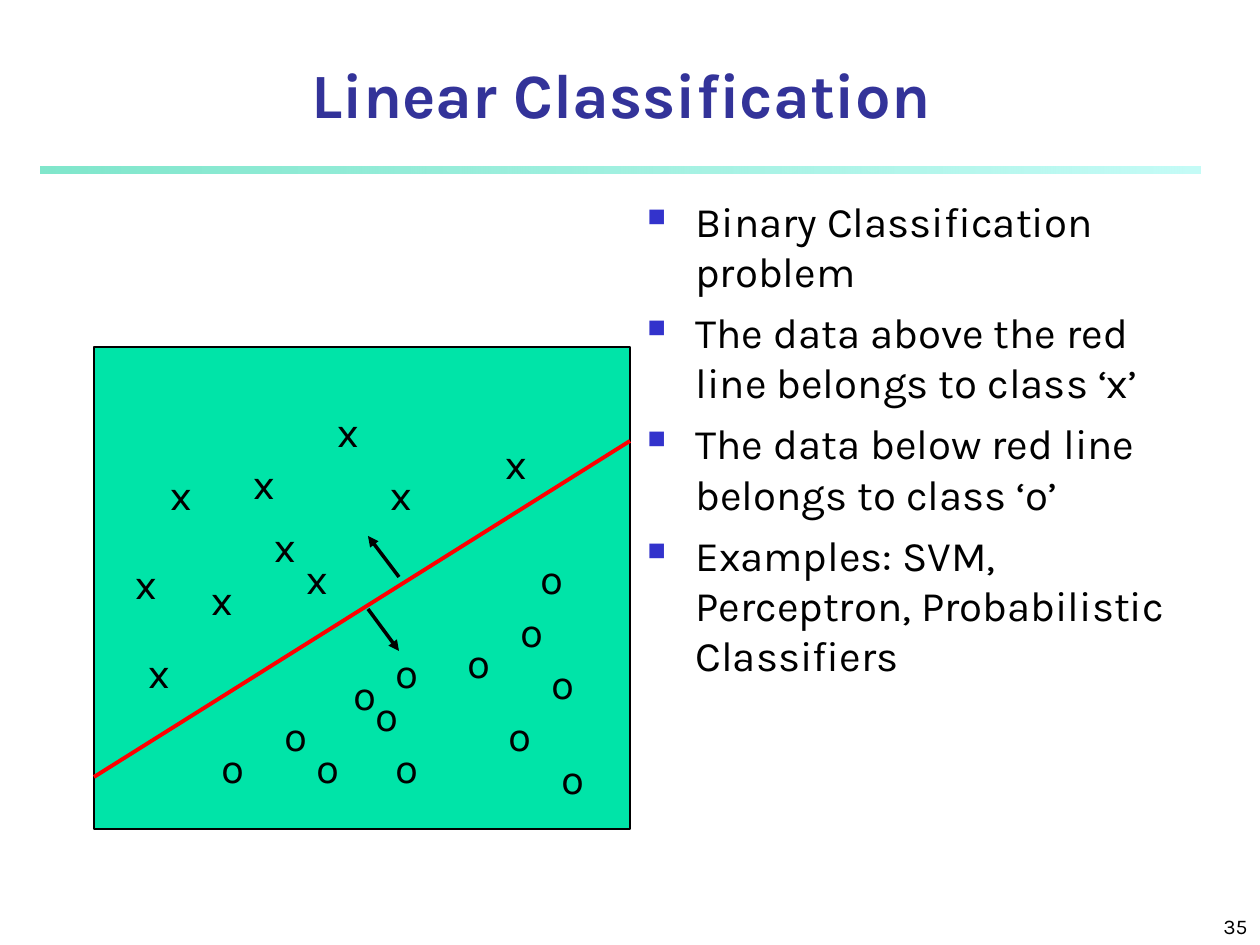
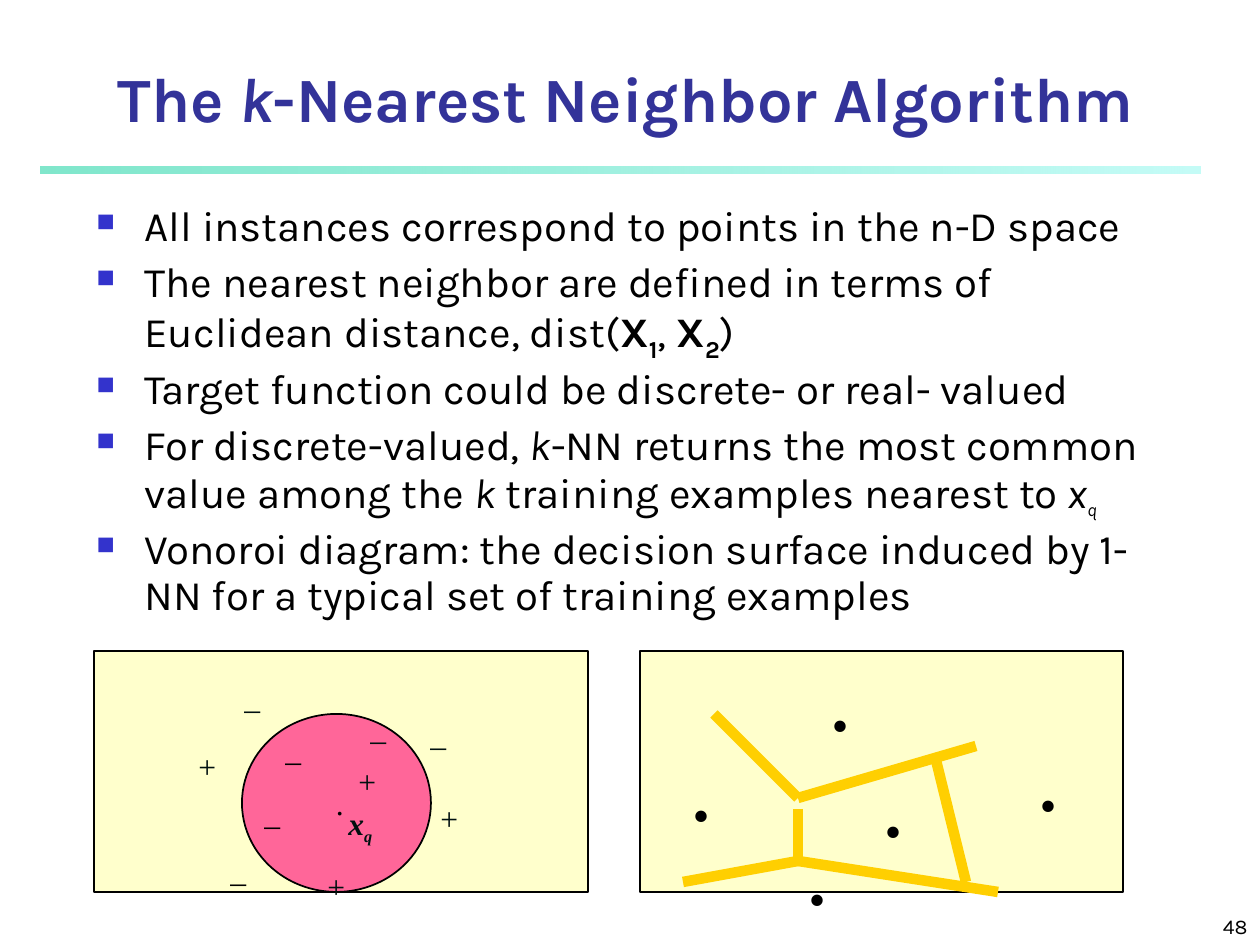
"""Build two slides on linear classification and k-nearest neighbours."""
from dataclasses import dataclass

from lxml import etree
from pptx import Presentation
from pptx import util as u
from pptx.dml.color import RGBColor
from pptx.enum import shapes, text
from pptx.oxml import ns

PX = 914400 // 126


@dataclass(frozen=True)
class Theme:
    font: str = "Karla"
    diagram_font: str = "Times New Roman"
    ink: str = "000000"
    mark_ink: str = "001010"
    title: str = "333399"
    bullet: str = "3333CC"
    band: tuple = (("00CE98", 50000), ("8FF9EF", 52000))
    plot: str = "00E4A8"
    boundary: str = "FF0000"
    panel: str = "FFFFCC"
    circle: str = "FF6699"
    voronoi: str = "FFCF01"
    title_size: int = 36
    body_size: int = 24
    mark_size: int = 18
    subscript_size: int = 16
    number_size: int = 12
    dot_size: int = 40


theme = Theme()


def write(shape, paragraphs, size, color=theme.ink, font=theme.font, bold=False, align="LEFT",
          anchor="TOP", wrap=True, bullets=False, line_spacing=None):
    """Fill a shape with paragraphs of (text, style, size) runs; styles are b, i and s for subscript."""
    frame = shape.text_frame
    frame.word_wrap = wrap
    frame.vertical_anchor = getattr(text.MSO_ANCHOR, anchor)
    for index, runs in enumerate(paragraphs):
        paragraph = frame.add_paragraph() if index else frame.paragraphs[0]
        paragraph.alignment = getattr(text.PP_ALIGN, align)
        if bullets:
            properties = paragraph._p.get_or_add_pPr()
            properties.set("marL", str(48 * PX))
            properties.set("indent", str(-48 * PX))
            bullet_color = etree.SubElement(properties, ns.qn("a:buClr"))
            etree.SubElement(bullet_color, ns.qn("a:srgbClr"), val=theme.bullet)
            etree.SubElement(properties, ns.qn("a:buSzPct"), val="60000")
            etree.SubElement(properties, ns.qn("a:buChar"), char="■")
            paragraph.space_before = u.Pt(6)
            paragraph.line_spacing = line_spacing
        paragraph.font.name = font
        paragraph.font.size = u.Pt(size)
        paragraph.font.bold = bold
        paragraph.font.color.rgb = RGBColor.from_string(color)
        for content, style, *run_size in runs:
            run = paragraph.add_run()
            run.text = content
            if "b" in style:
                run.font.bold = True
            if "i" in style:
                run.font.italic = True
            if "s" in style:
                run.font._element.set("baseline", "-25000")
            if run_size:
                run.font.size = u.Pt(run_size[0])


def draw(slide, kind, box, color=None, width=1, arrow=False):
    """Add a text box, a line from corner to corner, or an outlined preset shape."""
    box = [value * PX for value in box]
    if kind == "text":
        return slide.shapes.add_textbox(*box)
    if kind == "line":
        line = slide.shapes.add_connector(shapes.MSO_CONNECTOR.STRAIGHT, *box)
        line.line.color.rgb = RGBColor.from_string(color)
        line.line.width = u.Pt(width)
        properties = line._element.spPr
        if arrow:
            etree.SubElement(properties.find(ns.qn("a:ln")), ns.qn("a:tailEnd"), type="triangle")
        etree.SubElement(properties, ns.qn("a:effectLst"))
        return line
    shape = slide.shapes.add_shape(getattr(shapes.MSO_SHAPE, kind), *box)
    shape.shadow.inherit = False
    shape.fill.solid()
    shape.fill.fore_color.rgb = RGBColor.from_string(color)
    shape.line.color.rgb = RGBColor.from_string(theme.ink)
    shape.line.width = u.Pt(width)
    return shape


presentation = Presentation()
presentation.slide_width = 1260 * PX
presentation.slide_height = 945 * PX

pages = [
    dict(number="35", title=[("Linear Classification", "")],
         title_box=(42, 53, 1158, 84), title_anchor="BOTTOM",
         body_box=(635, 189, 572, 703), line_spacing=None,
         body=[[("Binary Classification problem", "")],
               [("The data above the red line belongs to class ‘x’", "")],
               [("The data below red line belongs to class ‘o’", "")],
               [("Examples: SVM, Perceptron, Probabilistic Classifiers", "")]]),
    dict(number="48", title=[("The ", ""), ("k", "i"), ("-Nearest Neighbor Algorithm", "")],
         title_box=(63, 69, 1126, 56), title_anchor="MIDDLE",
         body_box=(84, 199, 1092, 703), line_spacing=0.9,
         body=[[("All instances correspond to points in the n-D space", "")],
               [("The nearest neighbor are defined in terms of Euclidean distance, dist(", ""),
                ("X", "b"), ("1", "bs"), (", ", ""), ("X", "b"), ("2", "bs"), (")", "")],
               [("Target function could be discrete- or real- valued", "")],
               [("For discrete-valued, ", ""), ("k", "i"),
                ("-NN returns the most common value among the ", ""), ("k", "i"),
                (" training examples nearest to ", ""), ("x", "i"), ("q", "is", theme.mark_size)],
               [("Vonoroi diagram: the decision surface induced by 1-NN "
                 "for a typical set of training examples", "")]]),
]

slides = []
for page in pages:
    slide = presentation.slides.add_slide(presentation.slide_layouts[6])
    slides.append(slide)
    band = draw(slide, "RECTANGLE", (41, 167, 1160, 7), theme.ink)
    band.line.fill.background()
    band.fill.gradient()
    band.fill.gradient_angle = 0
    for stop, (color, alpha) in zip(band.fill.gradient_stops, theme.band):
        stop.color.rgb = RGBColor.from_string(color)
    for element, (color, alpha) in zip(band._element.spPr.iter(ns.qn("a:srgbClr")), theme.band):
        etree.SubElement(element, ns.qn("a:alpha"), val=str(alpha))
    write(draw(slide, "text", (998, 892, 262, 53)), [[(page["number"], "")]],
          theme.number_size, align="RIGHT", anchor="BOTTOM")
    write(draw(slide, "text", page["title_box"]), [page["title"]], theme.title_size,
          theme.title, bold=True, align="CENTER", anchor=page["title_anchor"])
    write(draw(slide, "text", page["body_box"]), page["body"], theme.body_size,
          bullets=True, line_spacing=page["line_spacing"])

linear, neighbor = slides

draw(linear, "RECTANGLE", (94, 347, 536, 482), theme.plot, 0.75)
draw(linear, "line", (94, 777, 630, 441), theme.boundary, 2.25)
for arrow in [(399, 577, 368, 536), (368, 609, 399, 651)]:
    draw(linear, "line", arrow, theme.ink, 2, arrow=True)

draw(neighbor, "RECTANGLE", (94, 651, 494, 241), theme.panel)
draw(neighbor, "RECTANGLE", (640, 651, 483, 241), theme.panel)
circle = draw(neighbor, "OVAL", (242, 714, 189, 178), theme.circle)
circle.text_frame.margin_left = 19 * PX
write(circle, [[(".", "")]], theme.mark_size, font=theme.diagram_font,
      align="CENTER", anchor="MIDDLE", wrap=False)
query = draw(neighbor, "text", (336, 798, 49, 54))
write(query, [[("x", "bi"), ("q", "bis", theme.subscript_size)]], theme.mark_size,
      theme.mark_ink, theme.diagram_font, wrap=False)
for edge in [(714, 714, 798, 798), (798, 798, 976, 746), (798, 809, 798, 861),
             (798, 861, 998, 892), (798, 861, 683, 882), (935, 756, 966, 882)]:
    draw(neighbor, "line", edge, theme.voronoi, 6)

class_style = dict(size=theme.body_size)
mark_style = dict(size=theme.mark_size, font=theme.diagram_font)
dot_style = dict(size=theme.dot_size, font=theme.diagram_font, bold=True)
mark_groups = [
    (linear, "x", (47, 63), class_style,
     [(123, 551), (493, 431), (241, 451), (294, 546), (378, 462),
      (158, 462), (199, 567), (325, 399), (262, 514), (136, 640)]),
    (linear, "o", (50, 63), class_style,
     [(341, 662), (363, 683), (383, 640), (272, 703), (383, 735), (496, 703), (528, 546),
      (455, 630), (209, 735), (304, 735), (539, 651), (508, 599), (549, 746)]),
    (neighbor, "+", (43, 50), dict(mark_style, color=theme.mark_ink),
     [(346, 756), (315, 861), (186, 741), (428, 793)]),
    (neighbor, "_", (40, 50), mark_style, [(273, 724), (252, 788), (218, 845)]),
    (neighbor, "_", (40, 50), dict(mark_style, color=theme.mark_ink),
     [(358, 703), (418, 709), (232, 672)]),
    (neighbor, ".", (43, 97), dot_style,
     [(819, 655), (872, 761), (796, 829), (680, 745), (1027, 735)]),
]
for slide, symbol, extent, style, positions in mark_groups:
    for position in positions:
        mark = draw(slide, "text", position + extent)
        mark.text_frame.auto_size = text.MSO_AUTO_SIZE.SHAPE_TO_FIT_TEXT
        write(mark, [[(symbol, "")]], wrap=False, **style)

presentation.save("out.pptx")
